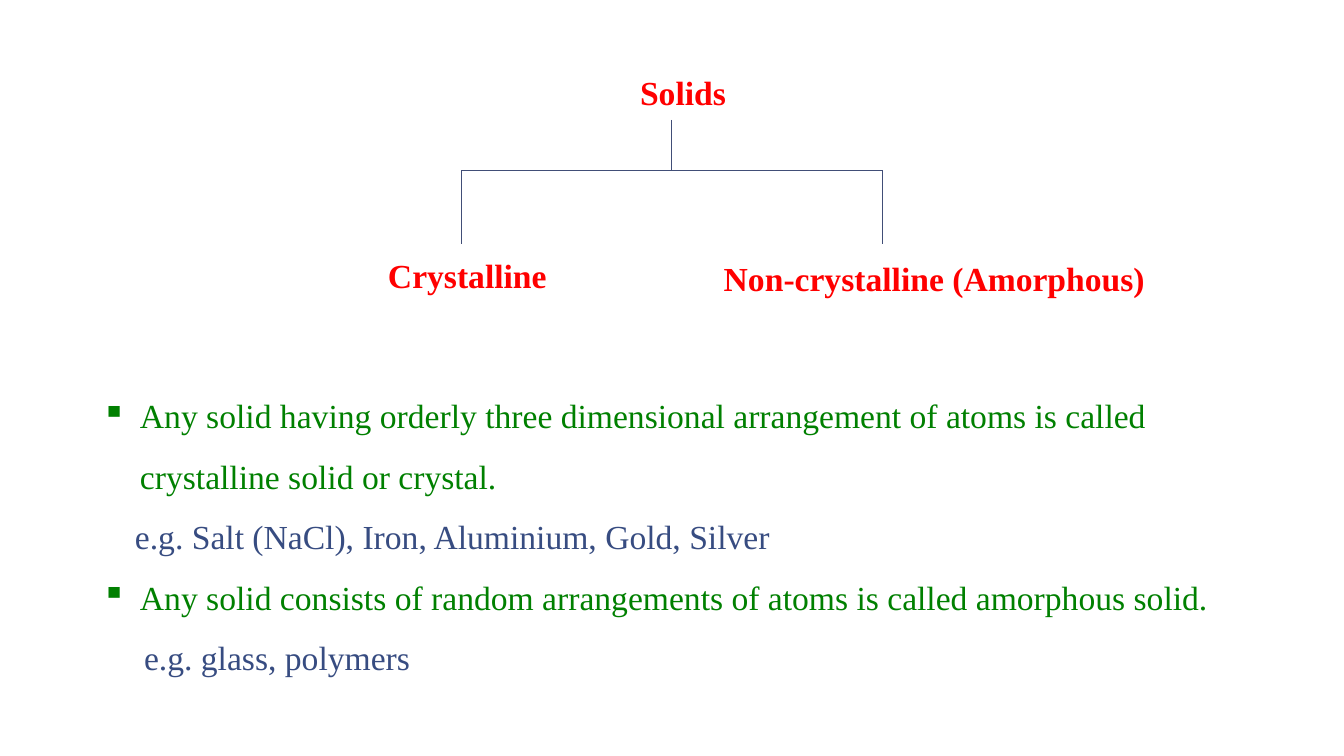
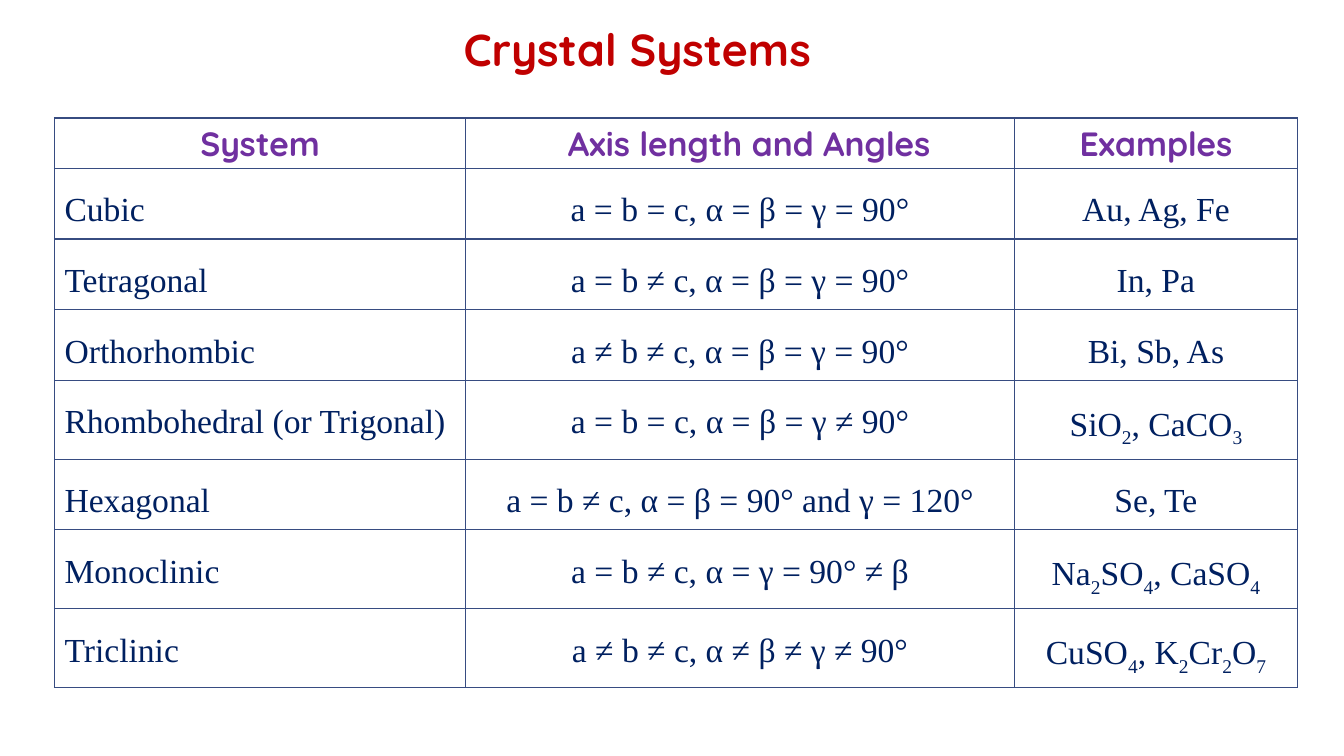
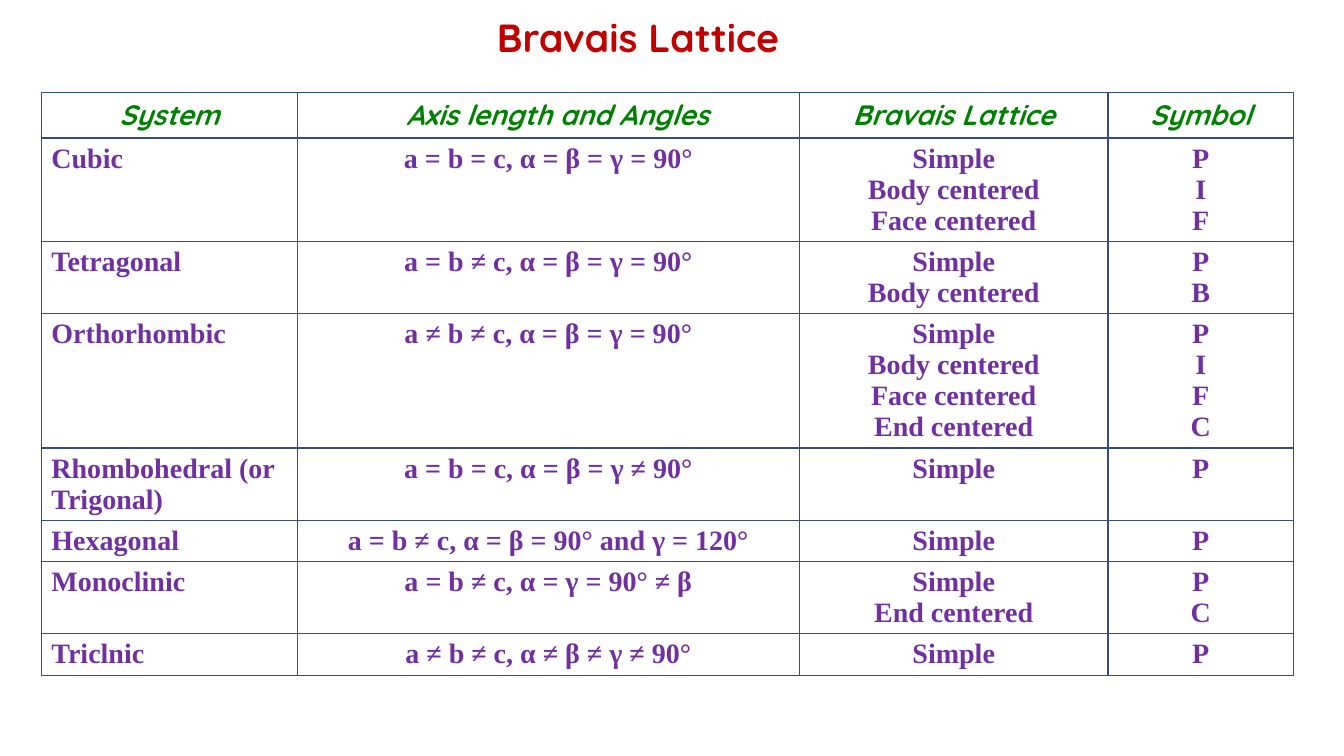
from itertools import groupby

from lxml import etree
from pptx import Presentation
from pptx.dml.color import RGBColor
from pptx.enum import shapes, text
from pptx.oxml import ns
from pptx.util import Inches, Pt

COLOURS = {
    "red": "FF0000", "title": "C00000", "green": "008000", "blue": "374C81",
    "navy": "002060", "purple": "7030A0", "branch": "414E77",
}
SERIF, DISPLAY = "Times New Roman", "Quicksand"

# Label, left, top, width, height
TREE_LABELS = [
    ("Solids", 6.25, 0.46, 1.08, 0.63),
    ("Crystalline", 3.75, 2.28, 2.17, 0.63),
    ("Non-crystalline (Amorphous)", 7.08, 2.31, 4.63, 0.63),
]
TRUNK_X, BRANCH_XS = 6.66, (4.58, 8.75)
TRUNK_TOP, FORK_Y, BRANCH_BOTTOM = 1.19, 1.69, 2.42

# Text, colour, left indent, bulleted
DEFINITIONS = [
    ("Any solid having orderly three dimensional arrangement of atoms is "
     "called crystalline solid or crystal.", "green", 0.38, True),
    ("e.g. Salt (NaCl), Iron, Aluminium, Gold, Silver", "blue", 0.33, False),
    ("Any solid consists of random arrangements of atoms is called "
     "amorphous solid.", "green", 0.38, True),
    ("e.g. glass, polymers", "blue", 0.42, False),
]

SIMPLE, BODY = ("Simple", "P"), ("Body centered", "I")
FACE, END = ("Face centered", "F"), ("End centered", "C")

# System, axes, examples, lattices with their symbols
SYSTEMS = [
    ("Cubic", "a = b = c, α = β = γ = 90°", "Au, Ag, Fe", [SIMPLE, BODY, FACE]),
    ("Tetragonal", "a = b ≠ c, α = β = γ = 90°", "In, Pa",
     [SIMPLE, ("Body centered", "B")]),
    ("Orthorhombic", "a ≠ b ≠ c, α = β = γ = 90°", "Bi, Sb, As",
     [SIMPLE, BODY, FACE, END]),
    ("Rhombohedral (or Trigonal)", "a = b = c, α = β = γ ≠ 90°",
     "SiO2, CaCO3", [SIMPLE]),
    ("Hexagonal", "a = b ≠ c, α = β = 90° and γ = 120°", "Se, Te", [SIMPLE]),
    ("Monoclinic", "a = b ≠ c, α = γ = 90° ≠ β", "Na2SO4, CaSO4", [SIMPLE, END]),
    ("Triclinic", "a ≠ b ≠ c, α ≠ β ≠ γ ≠ 90°", "CuSO4, K2Cr2O7", [SIMPLE]),
]
LATTICE_SPELLING = {"Triclinic": "Triclnic"}
AXES_HEADING = "Axis length and Angles"
HEADING_INDENT = 0.18


def style(para, size, font, colour, bold=False, italic=False):
    para.font.size = Pt(size)
    para.font.name = font
    para.font.bold = bold
    para.font.italic = italic
    para.font.color.rgb = RGBColor.from_string(COLOURS[colour])


def add_box(slide, left, top, width, height):
    box = slide.shapes.add_textbox(*map(Inches, (left, top, width, height)))
    box.text_frame.word_wrap = True
    box.text_frame.auto_size = text.MSO_AUTO_SIZE.SHAPE_TO_FIT_TEXT
    return box.text_frame


def add_title(slide, title, left, top, height, size):
    para = add_box(slide, left, top, 4.42, height).paragraphs[0]
    para.text = title
    style(para, size, DISPLAY, "title", bold=True)


def add_branch(slide, *ends):
    line = slide.shapes.add_connector(
        shapes.MSO_CONNECTOR.STRAIGHT, *map(Inches, ends))
    line.line.color.rgb = RGBColor.from_string(COLOURS["branch"])
    line.line.width = Pt(0.5)
    etree.SubElement(line._element.spPr, ns.qn("a:effectLst"))


def indent(para, left, bullet=False):
    props = para._p.get_or_add_pPr()
    props.set("marL", str(Inches(left)))
    props.set("indent", str(-Inches(left) if bullet else 0))
    if bullet:
        etree.SubElement(props, ns.qn("a:buChar")).set("char", "▪")


def add_formulas(para, formulas):
    """Write chemical formulas with every number as a subscript."""
    for is_number, letters in groupby(formulas, str.isdigit):
        span = para.add_run()
        span.text = "".join(letters)
        if is_number:
            span._r.get_or_add_rPr().set("baseline", "-25000")


def add_borders(cell):
    props = cell._tc.get_or_add_tcPr()
    for side in ("lnL", "lnR", "lnT", "lnB"):
        edge = etree.SubElement(props, ns.qn("a:" + side), w=str(Pt(1)))
        fill = etree.SubElement(edge, ns.qn("a:solidFill"))
        etree.SubElement(fill, ns.qn("a:srgbClr"), val=COLOURS["blue"])


def add_grid(slide, place, widths, heights, headings, rows,
             heading_style, body_style, spacing=None):
    """Draw a bordered table; heights are those of the heading and body rows."""
    heading_height, row_height = heights
    total = heading_height + row_height * len(rows)
    grid = slide.shapes.add_table(
        len(rows) + 1, len(widths),
        *map(Inches, (*place, sum(widths), total))).table
    grid.first_row = grid.horz_banding = False
    for column, width in zip(grid.columns, widths):
        column.width = Inches(width)
    for i, values in enumerate([headings, *rows]):
        grid.rows[i].height = Inches(row_height if i else heading_height)
        for j, value in enumerate(values):
            cell = grid.cell(i, j)
            add_borders(cell)
            cell.fill.background()
            lines = value if isinstance(value, list) else [value]
            for k, line in enumerate(lines):
                frame = cell.text_frame
                para = frame.add_paragraph() if k else frame.paragraphs[0]
                if i and headings[j] == "Examples":
                    add_formulas(para, line)
                else:
                    para.add_run().text = line
                if line == AXES_HEADING:
                    indent(para, HEADING_INDENT)
                if i == 0 or j:
                    para.alignment = text.PP_ALIGN.CENTER
                if i and spacing:
                    para.line_spacing = spacing
                style(para, **(body_style if i else heading_style))


def build_solids(slide):
    for label, *place in TREE_LABELS:
        para = add_box(slide, *place).paragraphs[0]
        para.text = label
        para.line_spacing = 1.5
        style(para, 24, SERIF, "red", bold=True)
    add_branch(slide, TRUNK_X, TRUNK_TOP, TRUNK_X, FORK_Y)
    for x in BRANCH_XS:
        add_branch(slide, TRUNK_X, FORK_Y, x, FORK_Y)
        add_branch(slide, x, FORK_Y, x, BRANCH_BOTTOM)
    frame = add_box(slide, 0.91, 3.67, 11.92, 3.13)
    for i, (definition, colour, left, bullet) in enumerate(DEFINITIONS):
        para = frame.add_paragraph() if i else frame.paragraphs[0]
        para.text = definition
        indent(para, left, bullet)
        para.line_spacing = 1.5
        style(para, 24, SERIF, colour)


def build_crystal_systems(slide):
    add_title(slide, "Crystal Systems", 4.5, 0.17, 0.64, 32)
    add_grid(
        slide, (0.54, 1.17), (4.08, 5.44, 2.81), (0.46, 0.64),
        ("System", AXES_HEADING, "Examples"),
        [system[:3] for system in SYSTEMS],
        dict(size=24, font=DISPLAY, colour="purple", bold=True),
        dict(size=24, font=SERIF, colour="navy"), spacing=1.5)


def build_bravais_lattice(slide):
    rows = [
        (LATTICE_SPELLING.get(name, name), axes,
         [lattice for lattice, _ in lattices],
         [symbol for _, symbol in lattices])
        for name, axes, _, lattices in SYSTEMS]
    add_grid(
        slide, (0.41, 0.92), (2.54, 4.98, 3.06, 1.84), (0.41, 0.41),
        ("System", AXES_HEADING, "Bravais Lattice", "Symbol"), rows,
        dict(size=20, font=DISPLAY, colour="green", bold=True, italic=True),
        dict(size=20, font=SERIF, colour="purple", bold=True))
    add_title(slide, "Bravais Lattice", 4.83, 0.08, 0.57, 28)


def main():
    deck = Presentation()
    deck.slide_width, deck.slide_height = Inches(13.33), Inches(7.5)
    for build in (build_solids, build_crystal_systems, build_bravais_lattice):
        build(deck.slides.add_slide(deck.slide_layouts[6]))
    deck.save("out.pptx")


if __name__ == "__main__":
    main()
